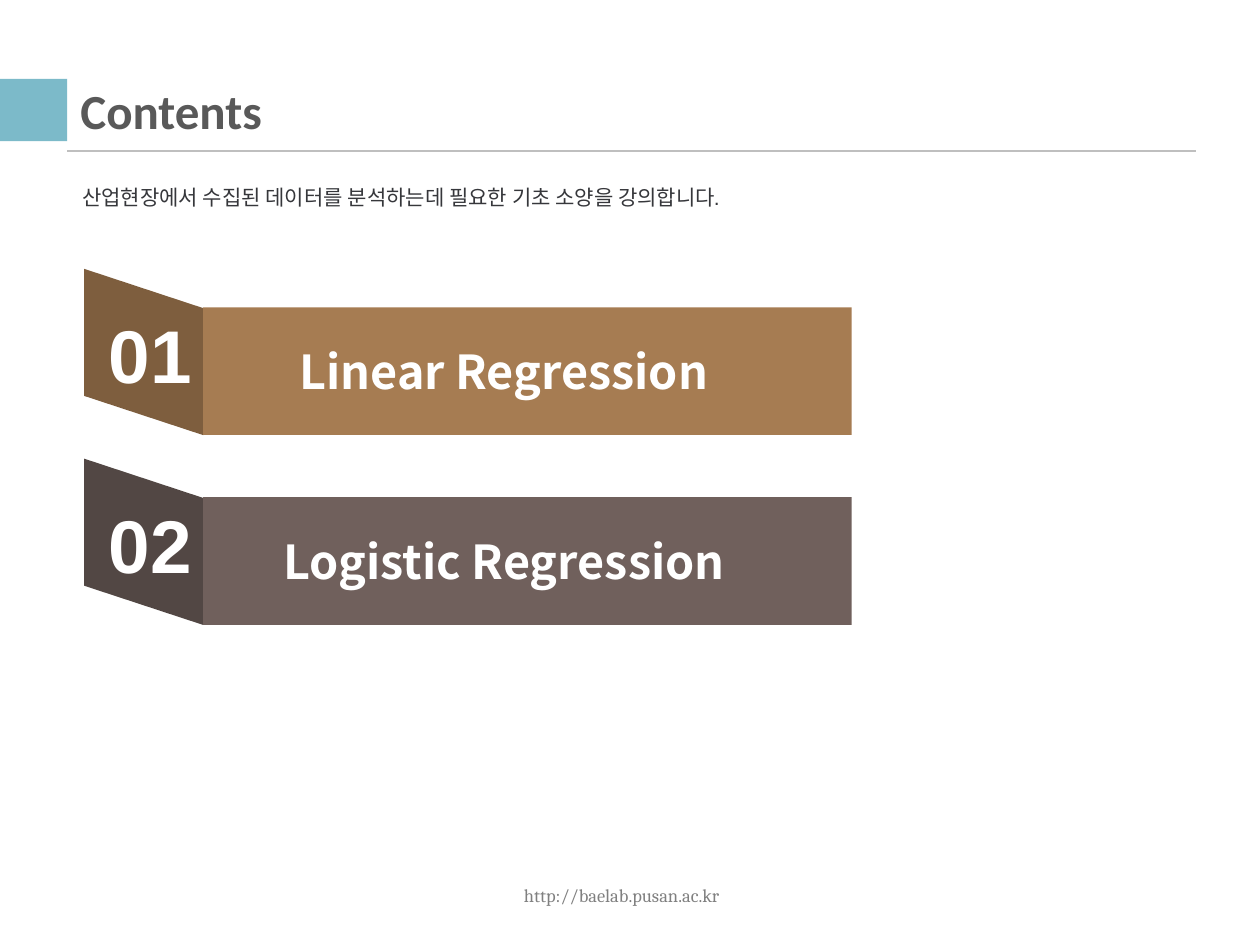
from dataclasses import dataclass

from lxml.etree import SubElement
from pptx import Presentation
from pptx.dml.color import RGBColor
from pptx.enum.shapes import MSO_CONNECTOR, MSO_SHAPE
from pptx.enum.text import MSO_ANCHOR, PP_ALIGN
from pptx.oxml.ns import qn
from pptx.util import Inches, Pt


@dataclass(frozen=True)
class Theme:
    accent: str = "7CBAC9"
    rule: str = "BFBFBF"
    title: str = "595959"
    body: str = "36373B"
    footer: str = "808080"
    white: str = "FFFFFF"
    title_size: float = 21
    body_size: float = 9
    label_size: float = 20
    number_size: float = 32
    footer_size: float = 7.9
    title_font: str = "Calibri"
    body_font: str = "Arial"
    label_font: str = "Noto Sans CJK KR"
    footer_font: str = "Cambria"


class Deck:
    """Draws styled elements on the current slide."""

    def __init__(self, prs, theme):
        self.theme = theme
        self.s = prs.slides.add_slide(prs.slide_layouts[6])

    def shape(self, kind, x, y, w, h, fill):
        sp = self.s.shapes.add_shape(kind, Inches(x), Inches(y), Inches(w), Inches(h))
        sp.shadow.inherit = False
        sp.fill.solid()
        sp.fill.fore_color.rgb = RGBColor.from_string(fill)
        sp.line.fill.background()
        return sp

    def line(self, x1, y1, x2, y2, color, width):
        ln = self.s.shapes.add_connector(
            MSO_CONNECTOR.STRAIGHT, Inches(x1), Inches(y1), Inches(x2), Inches(y2))
        ln.line.color.rgb = RGBColor.from_string(color)
        ln.line.width = Pt(width)
        SubElement(ln._element.spPr, qn("a:effectLst"))

    def text(self, text, x, y, w, h, font, size, color, bold=False,
             align=PP_ALIGN.LEFT, anchor=MSO_ANCHOR.MIDDLE):
        sp = self.s.shapes.add_textbox(Inches(x), Inches(y), Inches(w), Inches(h))
        tf = sp.text_frame
        tf.word_wrap = True
        tf.vertical_anchor = anchor
        p = tf.paragraphs[0]
        p.text = text
        p.alignment = align
        r = p.runs[0]
        r.font.name = font
        r.font.size = Pt(size)
        r.font.bold = bold
        r.font.color.rgb = RGBColor.from_string(color)

    def banner(self, y, number, label, fold, fill):
        t = self.theme
        flap = self.shape(MSO_SHAPE.PARALLELOGRAM, 0.36, y - 0.09, 0.99, 0.71, fold)
        flap.rotation = 270
        flap.adjustments[0] = 0.33
        self.shape(MSO_SHAPE.RECTANGLE, 1.21, y, 3.86, 0.76, fill)
        self.text(label, 1.07, y + 0.16, 3.86, 0.44, t.label_font, t.label_size,
                  t.white, True, PP_ALIGN.CENTER)
        self.text(number, 0.55, y - 0.04, 0.94, 0.64, t.body_font, t.number_size,
                  t.white, True, anchor=MSO_ANCHOR.TOP)


def main():
    prs = Presentation()
    prs.slide_width = Inches(7.5)
    prs.slide_height = Inches(7.5 * 3 / 4)
    t = Theme()
    deck = Deck(prs, t)

    deck.text("http://baelab.pusan.ac.kr", 2.51, 5.18, 2.38, 0.3, t.footer_font,
              t.footer_size, t.footer, align=PP_ALIGN.CENTER)
    deck.shape(MSO_SHAPE.RECTANGLE, 0, 0.47, 0.4, 0.37, t.accent)
    deck.line(0.4, 0.9, 7.12, 0.9, t.rule, 1)
    deck.text("Contents", 0.38, 0.48, 6.75, 0.35, t.title_font, t.title_size,
              t.title, True)
    deck.text("산업현장에서 수집된 데이터를 분석하는데 필요한 기초 소양을 강의합니다.",
              0.39, 1.05, 4.46, 0.26, t.body_font, t.body_size, t.body,
              anchor=MSO_ANCHOR.TOP)

    chapters = [("Linear Regression", "7E5E3E", "A67C52"),
                ("Logistic Regression", "524744", "70605C")]
    for i, (label, fold, fill) in enumerate(chapters):
        deck.banner(1.83 + 1.13 * i, f"{i + 1:02}", label, fold, fill)

    prs.save("out.pptx")


if __name__ == "__main__":
    main()
